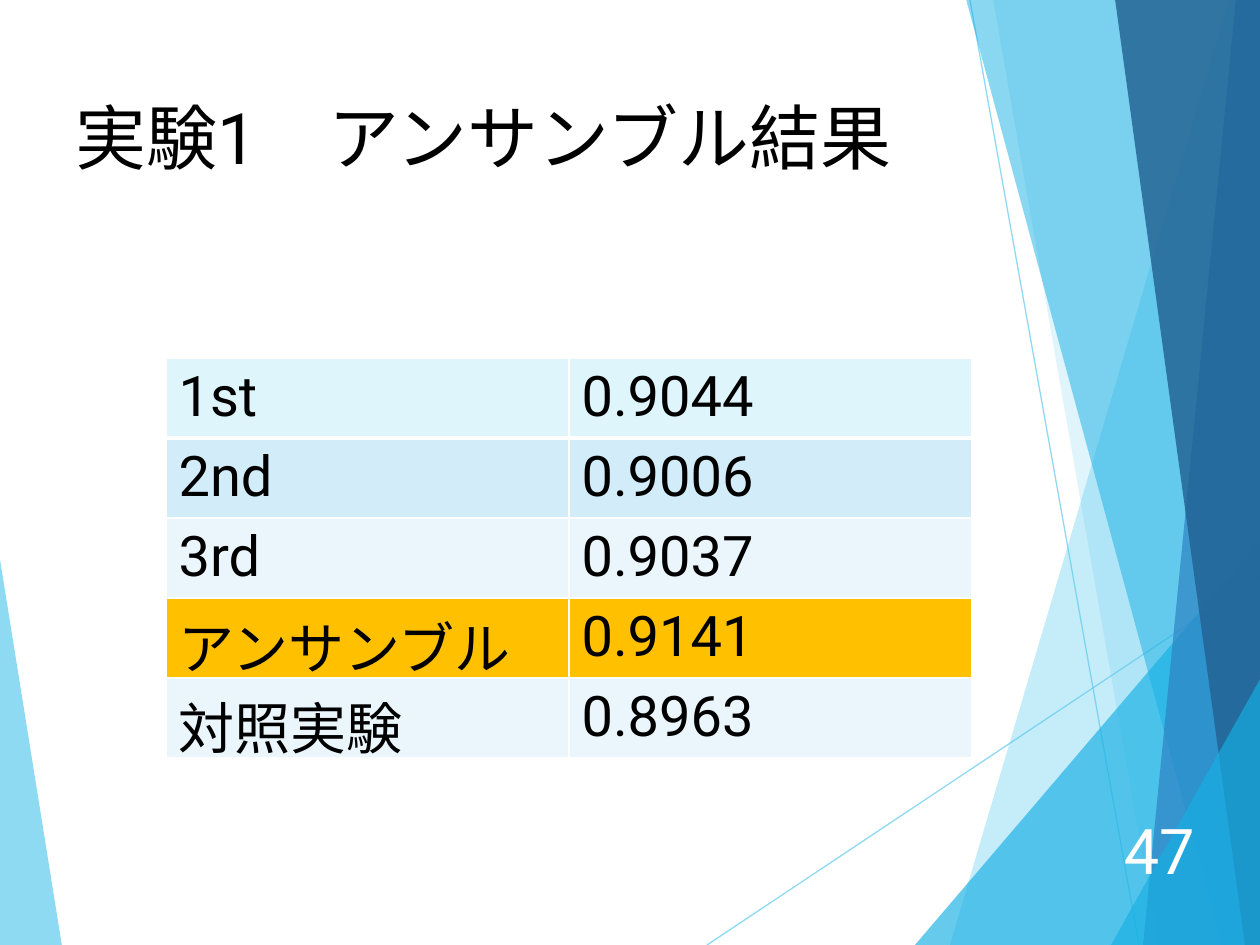
"""Build the ensemble results slide of experiment 1."""
from dataclasses import dataclass

from lxml.etree import SubElement
from pptx import Presentation
from pptx.dml.color import RGBColor
from pptx.enum.shapes import MSO_CONNECTOR as Connector
from pptx.enum.text import MSO_ANCHOR as Anchor, MSO_AUTO_SIZE as AutoSize, PP_ALIGN as Align
from pptx.oxml.ns import qn
from pptx.util import Emu, Pt


@dataclass(frozen=True)
class Theme:
    font: str = "Roboto"
    ink: str = "000000"
    paper: str = "FFFFFF"
    sky: str = "5FCBEF"
    cyan: str = "17B0E4"
    blue: str = "2E83C3"
    navy: str = "226292"
    first: str = "DFF5FC"
    dark_band: str = "D2ECF9"
    light_band: str = "EAF6FC"
    highlight: str = "FFC000"
    title_size: float = 40.5
    score_size: int = 32
    number_size: int = 36
    ray_width: float = 0.75
    rule: int = 1
    heavy_rule: int = 3


THEME = Theme()
PX = 914400 / 126
SLIDE = (1260, 945)

TITLE = "実験1\u3000アンサンブル結果".replace("\u3000", "　")
TITLE_BOX = (63, 87, 880, 98)
NUMBER = "47"
NUMBER_BOX = (1101, 816, 106, 67)

SCORES = [
    ("1st", "0.9044", THEME.first),
    ("2nd", "0.9006", THEME.dark_band),
    ("3rd", "0.9037", THEME.light_band),
    ("アンサンブル", "0.9141", THEME.highlight),
    ("対照実験", "0.8963", THEME.light_band),
]
SCORES_AT = (166, 358)
COLUMN, ROW = 403, 80

LEFT_FACET = (THEME.sky, 70, [(-1, 553), (62, 946), (-1, 945)])
RAYS = [((707, 945), (1261, 576)), ((970, 0), (1139, 945))]
RAY_OPACITY = 70
RIGHT_FACETS = [
    (THEME.sky, 36, [(1229, 0), (950, 945), (1262, 946), (1261, 1)]),
    (THEME.sky, 20, [(993, -1), (1158, 945), (1261, 945), (1261, -1)]),
    (THEME.cyan, 66, [(915, 945), (1260, 541), (1261, 945)]),
    (THEME.cyan, 50, [(966, -1), (1222, 945), (1261, 944), (1261, -1)]),
    (THEME.blue, 70, [(1236, -1), (1143, 945), (1261, 945), (1260, -1)]),
    (THEME.navy, 82, [(1115, -1), (1245, 945), (1262, 945), (1260, -1)]),
    (THEME.cyan, 66, [(1111, 945), (1263, 674), (1263, 945)]),
]


def emu(*lengths):
    return [Emu(round(length * PX)) for length in lengths]


def paint(fill, color, opacity=100):
    fill.solid()
    fill.fore_color.rgb = RGBColor.from_string(color)
    if opacity < 100:
        tint = fill._xPr.find(f"{qn('a:solidFill')}/{qn('a:srgbClr')}")
        SubElement(tint, qn("a:alpha"), val=str(opacity * 1000))


def write(frame, text, size, color, align=Align.LEFT):
    frame.text = text
    paragraph = frame.paragraphs[0]
    paragraph.alignment = align
    font = paragraph.runs[0].font
    font.name, font.size, font.bold = THEME.font, Pt(size), False
    font.color.rgb = RGBColor.from_string(color)


def add_facet(shapes, color, opacity, corners):
    builder = shapes.build_freeform(*corners[0], scale=PX)
    builder.add_line_segments(corners[1:], close=True)
    facet = builder.convert_to_shape()
    facet.shadow.inherit = False
    facet.line.fill.background()
    paint(facet.fill, color, opacity)


def add_ray(shapes, start, end):
    ray = shapes.add_connector(Connector.STRAIGHT, *emu(*start, *end))
    ray.line.width = Pt(THEME.ray_width)
    paint(ray.line.fill, THEME.sky, RAY_OPACITY)
    SubElement(ray._element.spPr, qn("a:effectLst"))


def add_borders(cell, top, bottom):
    properties = cell._tc.get_or_add_tcPr()
    widths = {"L": THEME.rule, "R": THEME.rule, "T": top, "B": bottom}
    for side, width in widths.items():
        border = SubElement(properties, qn(f"a:ln{side}"), w=str(Pt(width)))
        SubElement(SubElement(border, qn("a:solidFill")), qn("a:srgbClr"), val=THEME.paper)


def add_scores(shapes):
    size = (2 * COLUMN, len(SCORES) * ROW)
    scores = shapes.add_table(len(SCORES), 2, *emu(*SCORES_AT, *size)).table
    scores.first_row = scores.horz_banding = False
    for index, (label, score, color) in enumerate(SCORES):
        top = THEME.heavy_rule if index == 1 else THEME.rule
        bottom = THEME.heavy_rule if index == 0 else THEME.rule
        for cell, text in zip(scores.rows[index].cells, (label, score)):
            add_borders(cell, top, bottom)
            paint(cell.fill, color)
            write(cell.text_frame, text, THEME.score_size, THEME.ink)


def main():
    deck = Presentation()
    deck.slide_width, deck.slide_height = emu(*SLIDE)
    slide = deck.slides.add_slide(deck.slide_layouts[5])
    shapes = slide.shapes
    paint(slide.background.fill, THEME.paper)

    add_facet(shapes, *LEFT_FACET)
    for start, end in RAYS:
        add_ray(shapes, start, end)
    for facet in RIGHT_FACETS:
        add_facet(shapes, *facet)

    number = shapes.add_textbox(*emu(*NUMBER_BOX)).text_frame
    number.word_wrap = True
    number.vertical_anchor = Anchor.MIDDLE
    write(number, NUMBER, THEME.number_size, THEME.paper, Align.RIGHT)

    title = shapes.title
    title.left, title.top, title.width, title.height = emu(*TITLE_BOX)
    title.text_frame.word_wrap = False
    title.text_frame.auto_size = AutoSize.NONE
    title.text_frame.vertical_anchor = Anchor.TOP
    write(title.text_frame, TITLE, THEME.title_size, THEME.ink)

    add_scores(shapes)
    deck.save("out.pptx")


if __name__ == "__main__":
    main()
